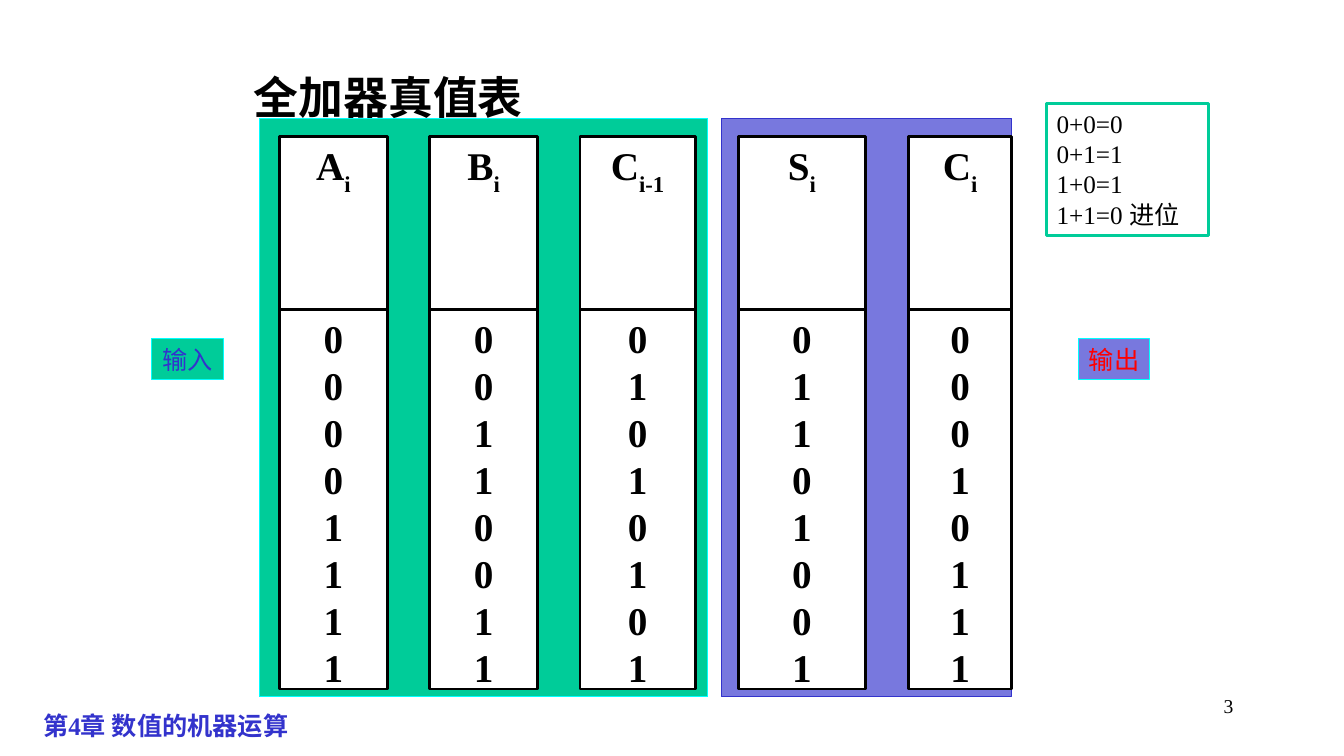
"""Build the full adder truth table slide."""
from dataclasses import dataclass
from itertools import product

from pptx import Presentation
from pptx import util as u
from pptx.dml.color import RGBColor
from pptx.enum import shapes, text

WIDTH, HEIGHT = u.Inches(13.33), u.Inches(7.5)
COLUMNS, ROWS = 160, 90
HEADER_TOP, HEADER_ROWS = 16.24, 20.58
DIGITS_TOP, DIGITS_ROWS = 36.82, 45.22
COLOURS = {
    "black": "000000", "white": "FFFFFF", "blue": "3333CC", "red": "FF0000",
    "green": "00CC99", "violet": "7878DE", "cyan": "00FFFF",
}


@dataclass
class Area:
    """A rectangle in grid columns and rows."""
    left: float
    top: float
    width: float
    height: float


@dataclass
class Signal:
    """One column of the truth table."""
    name: str
    left: float
    width: float
    bits: list[int]


@dataclass
class Panel:
    """A coloured backdrop with its label."""
    area: Area
    label_area: Area
    label: str
    fill: str
    line: str
    ink: str


INPUTS = list(product((0, 1), repeat=3))
SIGNALS = [
    Signal("A_i", 33.26, 12.84, [a for a, b, c in INPUTS]),
    Signal("B_i", 51.14, 12.88, [b for a, b, c in INPUTS]),
    Signal("C_i-1", 69.04, 13.72, [c for a, b, c in INPUTS]),
    Signal("S_i", 87.9, 15.14, [sum(row) % 2 for row in INPUTS]),
    Signal("C_i", 108.14, 12.32, [sum(row) // 2 for row in INPUTS]),
]
PANELS = [
    Panel(Area(85.86, 14.06, 34.54, 68.88), Area(128.36, 40.32, 8.52, 4.84),
          "输出", "violet", "blue", "red"),
    Panel(Area(30.86, 14.06, 53.4, 68.88), Area(18.06, 40.32, 8.52, 4.84),
          "输入", "green", "cyan", "blue"),
]
RULES = ["0+0=0", "0+1=1", "1+0=1", "1+1=0 进位"]


def colour(name: str) -> RGBColor:
    """Look up a named colour."""
    return RGBColor.from_string(COLOURS[name])


def place(area: Area) -> tuple[int, int, int, int]:
    """Turn grid units into slide lengths."""
    return (round(area.left * WIDTH / COLUMNS), round(area.top * HEIGHT / ROWS),
            round(area.width * WIDTH / COLUMNS), round(area.height * HEIGHT / ROWS))


def add_box(page, area: Area, fill: str, line: str, weight: float):
    """Draw a filled and outlined rectangle."""
    box = page.shapes.add_shape(shapes.MSO_SHAPE.RECTANGLE, *place(area))
    box.shadow.inherit = False
    box.fill.solid()
    box.fill.fore_color.rgb = colour(fill)
    box.line.color.rgb = colour(line)
    box.line.width = u.Pt(weight)
    return box


def write(box, lines: list[str], *, size: float, ink: str = "black",
          bold: bool = False, font: str = "Times New Roman", align: str = "LEFT",
          anchor: str = "TOP", wrap: bool = True) -> None:
    """Write lines into a box, with an underscore starting a subscript."""
    frame = box.text_frame
    frame.word_wrap = wrap
    frame.vertical_anchor = text.MSO_ANCHOR[anchor]
    for index, line in enumerate(lines):
        para = frame.add_paragraph() if index else frame.paragraphs[0]
        para.alignment = text.PP_ALIGN[align]
        for level, part in enumerate(line.split("_")):
            span = para.add_run()
            span.text = part
            span.font.name = font
            span.font.size = u.Pt(size)
            span.font.bold = bold
            span.font.color.rgb = colour(ink)
            if level:
                span.font._element.set("baseline", "-30000")


def add_text(page, area: Area, line: str, **style) -> None:
    """Add one line of free text."""
    write(page.shapes.add_textbox(*place(area)), [line], **style)


def add_cell(page, area: Area, lines: list[str]) -> None:
    """Draw one cell of the truth table."""
    box = add_box(page, area, "white", "black", 2)
    write(box, lines, size=28, bold=True, align="CENTER")


def add_signal(page, signal: Signal) -> None:
    """Draw a heading and the digits below it."""
    add_cell(page, Area(signal.left, HEADER_TOP, signal.width, HEADER_ROWS),
             [signal.name])
    add_cell(page, Area(signal.left, DIGITS_TOP, signal.width, DIGITS_ROWS),
             [str(bit) for bit in signal.bits])


def main() -> None:
    """Build and save the deck."""
    deck = Presentation()
    deck.slide_width, deck.slide_height = WIDTH, HEIGHT
    page = deck.slides.add_slide(deck.slide_layouts[6])
    add_text(page, Area(3.96, 84, 93.36, 3), "第4章 数值的机器运算",
             size=18, ink="blue", bold=True)
    for panel in PANELS:
        add_box(page, panel.area, panel.fill, panel.line, 0.5)
    add_text(page, Area(114.66, 82.02, 33.36, 6), "3", size=14, align="RIGHT")
    add_text(page, Area(29.04, 3.96, 102, 15), "全加器真值表",
             size=32, bold=True, anchor="MIDDLE")
    for signal in SIGNALS:
        add_signal(page, signal)
    rules = add_box(page, Area(124.6, 12.3, 19.32, 15.74), "white", "green", 2)
    write(rules, RULES, size=18)
    for panel in PANELS:
        label = add_box(page, panel.label_area, panel.fill, "cyan", 0.5)
        write(label, [panel.label], size=18, ink=panel.ink, font="Arial",
              align="CENTER", anchor="MIDDLE", wrap=False)
    deck.save("out.pptx")


if __name__ == "__main__":
    main()
